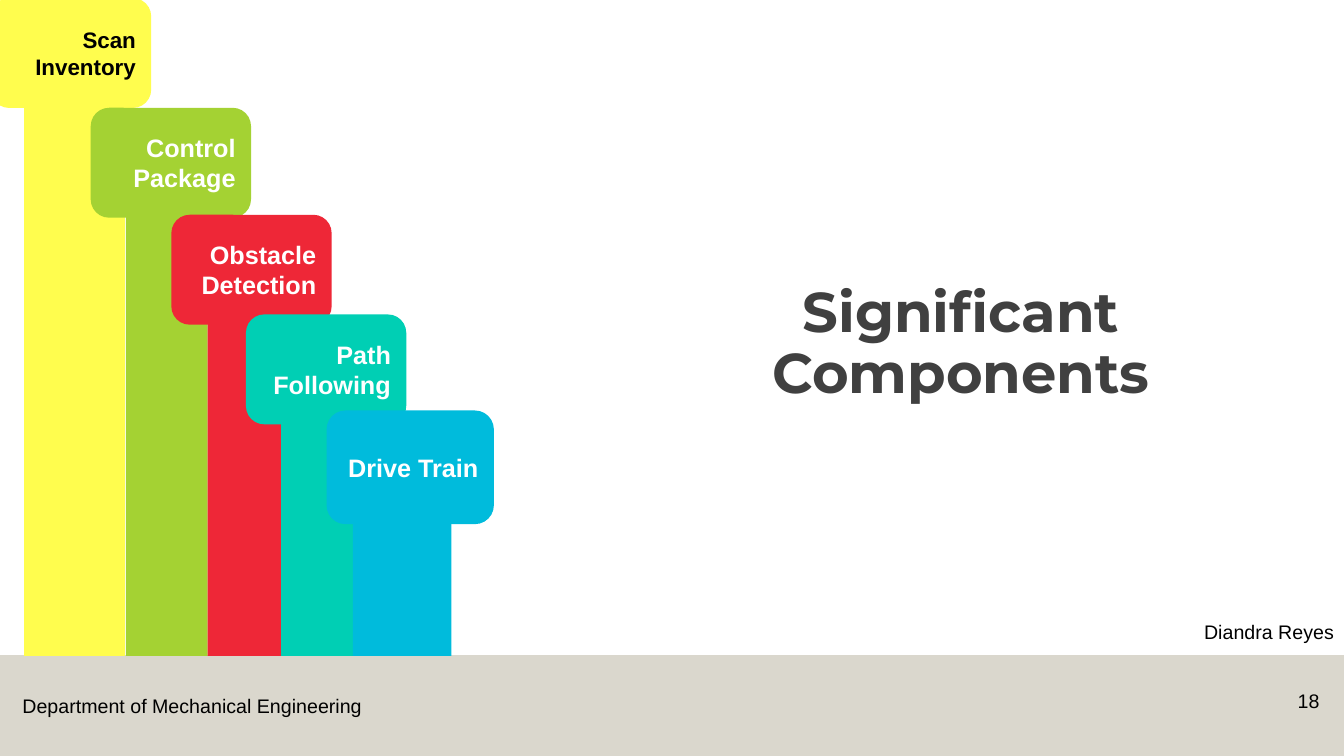
import pptx
import pptx.util
import pptx.dml.color
import pptx.enum.shapes
import pptx.enum.text
import pptx.oxml
import pptx.oxml.ns

Pt = pptx.util.Pt
SHAPES = pptx.enum.shapes.MSO_SHAPE
ALIGN = pptx.enum.text.PP_ALIGN
ANCHOR = pptx.enum.text.MSO_ANCHOR

COLORS = {
    "ink": "000000",
    "title": "404040",
    "white": "FFFFFF",
    "footer": "B7B09C",
    "yellow": "FFFD4E",
    "green": "A4D233",
    "red": "EE2737",
    "teal": "00CFB4",
    "blue": "00BBDC",
}

SLIDE_WIDTH, SLIDE_HEIGHT = 960, 540
FOOTER_TOP = 468

COMPONENTS = [
    ("Scan Inventory", "yellow", "ink", 16, (-6.5, -1.4, 114.5, 78.5), (17.3, 72)),
    ("Control Package", "green", "white", 18, (64.8, 77, 114.5, 78.5), (90, 58.3)),
    ("Obstacle Detection", "red", "white", 18, (122.4, 153.4, 114.5, 78.5), (148.3, 54.7)),
    ("Path Following", "teal", "white", 18, (175.7, 224.6, 114.5, 78.5), (200.9, 54.7)),
    ("Drive Train", "blue", "white", 18, (233.3, 293.2, 119.5, 81.2), (252, 70.5)),
]


def rgb(name):
    return pptx.dml.color.RGBColor.from_string(COLORS[name])


def apply(target, values):
    for name, value in values.items():
        setattr(target, name, value)


def write(shape, text, color, size, align, anchor=ANCHOR.TOP, wrap=True,
          font="Arial", bold=False, spacing=1.0):
    frame = shape.text_frame
    apply(frame, {"word_wrap": wrap, "vertical_anchor": anchor})
    paragraph = frame.paragraphs[0]
    apply(paragraph, {"alignment": align, "line_spacing": spacing})
    run = paragraph.add_run()
    run.text = text
    apply(run.font, {"name": font, "size": Pt(size), "bold": bold})
    run.font.color.rgb = rgb(color)


def add_block(slide, kind, box, color):
    shape = slide.shapes.add_shape(kind, *map(Pt, box))
    shape.shadow.inherit = False
    shape.fill.solid()
    shape.fill.fore_color.rgb = rgb(color)
    shape.line.fill.background()
    return shape


def add_text(slide, box, *content, **options):
    write(slide.shapes.add_textbox(*map(Pt, box)), *content, **options)


def add_footer(slide, box):
    left, top, width, height = box
    band = add_block(slide, SHAPES.RECTANGLE, box, "footer")
    color = band.fill._xPr.find(".//" + pptx.oxml.ns.qn("a:srgbClr"))
    color.append(pptx.oxml.parse_xml(
        f'<a:alpha {pptx.oxml.ns.nsdecls("a")} val="50000"/>'))
    add_text(slide, (left + 8.9, top + 24, 258.5, 24.2),
             "Department of Mechanical Engineering", "ink", 14, ALIGN.LEFT, wrap=False)
    add_text(slide, (left + width - 65.8, top + 20.9, 55.4, 28.8),
             "18", "ink", 14, ALIGN.RIGHT)


def add_component(slide, box, stem, bottom, text, color, text_color, size):
    left, top, width, height = box
    stem_left, stem_width = stem
    stem_top = top + height - 6
    add_block(slide, SHAPES.RECTANGLE,
              (stem_left, stem_top, stem_width, bottom - stem_top), color)
    label = add_block(slide, SHAPES.ROUNDED_RECTANGLE, box, color)
    write(label, text, text_color, size, ALIGN.RIGHT, anchor=ANCHOR.MIDDLE, bold=True)


def add_heading(slide, box):
    add_text(slide, box, "Significant Components", "title", 40, ALIGN.CENTER,
             anchor=ANCHOR.BOTTOM, font="Montserrat", bold=True, spacing=0.9)


def add_presenter(slide, box):
    add_text(slide, box, "Diandra Reyes", "ink", 14, ALIGN.RIGHT)


def main():
    presentation = pptx.Presentation()
    apply(presentation, {"slide_width": Pt(SLIDE_WIDTH), "slide_height": Pt(SLIDE_HEIGHT)})
    slide = presentation.slides.add_slide(presentation.slide_layouts[6])
    add_footer(slide, (0, FOOTER_TOP, SLIDE_WIDTH, SLIDE_HEIGHT - FOOTER_TOP))
    add_heading(slide, (436.3, 192.2, 500.4, 100.8))
    for text, color, text_color, size, box, stem in COMPONENTS:
        add_component(slide, box, stem, FOOTER_TOP + 0.5, text, color, text_color, size)
    add_presenter(slide, (636, 439.2, 324, 28.8))
    presentation.save("out.pptx")


if __name__ == "__main__":
    main()
